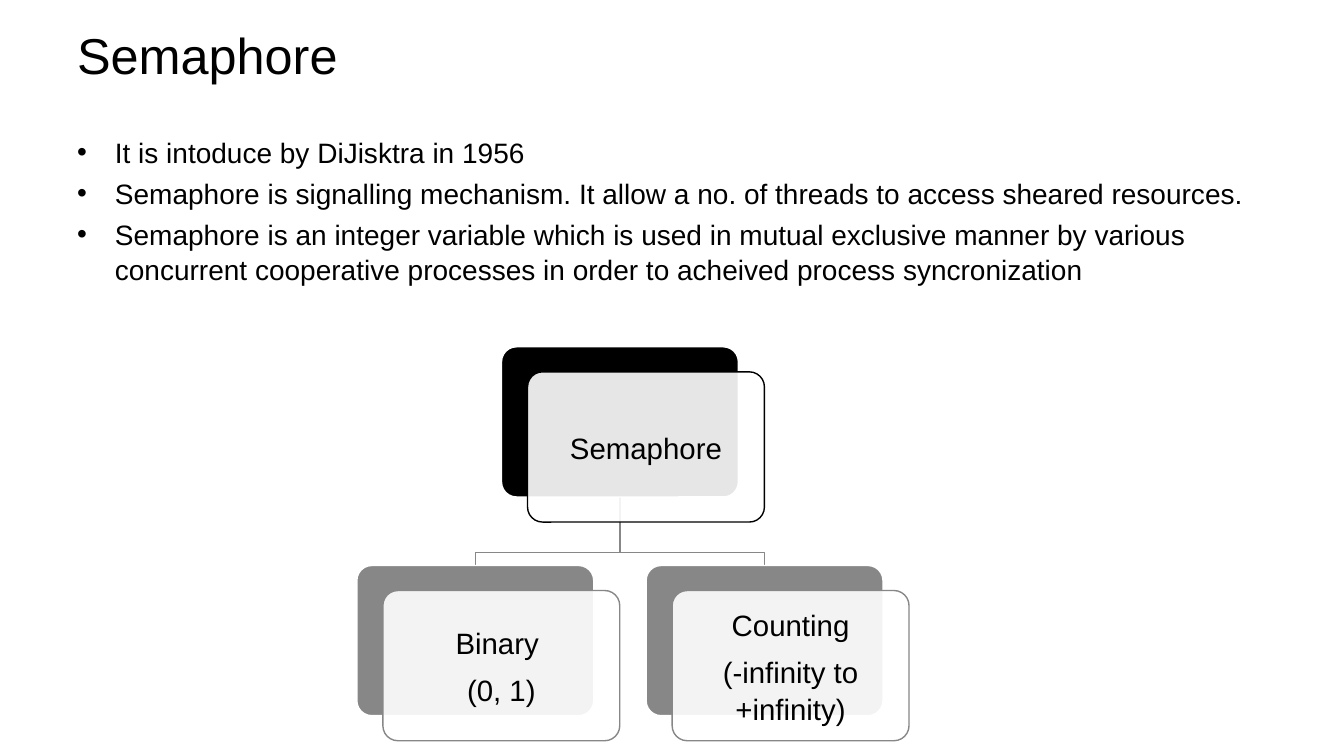
from dataclasses import dataclass

from lxml import etree
from pptx import Presentation
from pptx.dml.color import RGBColor
from pptx.enum.shapes import MSO_SHAPE
from pptx.enum.text import MSO_ANCHOR, PP_ALIGN
from pptx.oxml.ns import qn
from pptx.util import Pt

ROUNDED = MSO_SHAPE.ROUNDED_RECTANGLE
MIDDLE = MSO_ANCHOR.MIDDLE
TOP = MSO_ANCHOR.TOP
LEFT = PP_ALIGN.LEFT
CENTER = PP_ALIGN.CENTER


@dataclass(frozen=True)
class Theme:
    font: str = "Arial"
    black: RGBColor = RGBColor(0x00, 0x00, 0x00)
    white: RGBColor = RGBColor(0xFF, 0xFF, 0xFF)
    gray: RGBColor = RGBColor(0x87, 0x87, 0x87)
    title_size: int = 36
    body_size: int = 20
    card_size: int = 21
    line_spacing: float = 1.05


THEME = Theme()

BULLETS = [
    "It is intoduce by DiJisktra in 1956",
    "Semaphore is signalling mechanism. It allow a no. of threads to access sheared resources.",
    "Semaphore is an integer variable which is used in mutual exclusive manner by various "
    "concurrent cooperative processes in order to acheived process syncronization",
]
ROOT = ["Semaphore"]
KINDS = [["Binary ", "(0, 1)"], ["Counting", "(-infinity to +infinity)"]]

CARD_WIDTH, CARD_HEIGHT = 169.2, 107.3
CARD_SHIFT_X, CARD_SHIFT_Y = 18.6, 17.9
LEVEL_STEP = 156.2
BUS_RISE = 9.3


def write_lines(text_frame, lines, size, alignment, anchor):
    text_frame.word_wrap = True
    text_frame.vertical_anchor = anchor
    for index, line in enumerate(lines):
        paragraph = text_frame.paragraphs[0] if index == 0 else text_frame.add_paragraph()
        paragraph.text = line
        paragraph.alignment = alignment
        paragraph.line_spacing = THEME.line_spacing
        paragraph.font.name = THEME.font
        paragraph.font.size = Pt(size)
        paragraph.font.color.rgb = THEME.black
    return text_frame.paragraphs


def add_title(slide, left, top, width, height):
    box = slide.shapes.add_textbox(Pt(left), Pt(top), Pt(width), Pt(height))
    write_lines(box.text_frame, ["Semaphore"], THEME.title_size, LEFT, MIDDLE)


def add_bullets(slide, left, top, width, height):
    box = slide.shapes.add_textbox(Pt(left), Pt(top), Pt(width), Pt(height))
    paragraphs = write_lines(box.text_frame, BULLETS, THEME.body_size, LEFT, TOP)
    for index, paragraph in enumerate(paragraphs):
        paragraph.space_before = Pt(4 if index else 0)
        properties = paragraph._p.get_or_add_pPr()
        properties.set("marL", str(Pt(27)))
        properties.set("indent", str(-Pt(27)))
        etree.SubElement(properties, qn("a:buFont")).set("typeface", THEME.font)
        bullet = etree.SubElement(properties, qn("a:buChar"))
        bullet.set("char", "•")
        properties.find(qn("a:defRPr")).addprevious(properties.find(qn("a:buFont")))
        properties.find(qn("a:defRPr")).addprevious(bullet)


def add_panel(slide, left, top, fill, line):
    panel = slide.shapes.add_shape(
        ROUNDED, Pt(left), Pt(top), Pt(CARD_WIDTH), Pt(CARD_HEIGHT)
    )
    panel.adjustments[0] = 0.1
    panel.shadow.inherit = False
    panel.fill.solid()
    panel.fill.fore_color.rgb = fill
    panel.line.color.rgb = line
    panel.line.width = Pt(1)
    return panel


def add_card(slide, left, top, lines, color):
    add_panel(slide, left, top, color, THEME.white)
    front = add_panel(slide, left + CARD_SHIFT_X, top + CARD_SHIFT_Y, THEME.white, color)
    fill_color = front._element.spPr.find(qn("a:solidFill"))[0]
    etree.SubElement(fill_color, qn("a:alpha")).set("val", "90000")
    frame = front.text_frame
    frame.margin_left = frame.margin_right = Pt(6.3)
    frame.margin_top = frame.margin_bottom = Pt(6.3)
    for paragraph in write_lines(frame, lines, THEME.card_size, CENTER, MIDDLE):
        paragraph.space_after = Pt(7.35)


def add_branch(slide, start_x, start_y, end_x, end_y):
    bus_y = end_y - BUS_RISE
    builder = slide.shapes.build_freeform(Pt(start_x), Pt(start_y))
    corners = [(start_x, bus_y), (end_x, bus_y), (end_x, end_y)]
    builder.add_line_segments([(Pt(x), Pt(y)) for x, y in corners], close=False)
    branch = builder.convert_to_shape()
    branch.shadow.inherit = False
    branch.fill.background()
    branch.line.color.rgb = THEME.gray
    branch.line.width = Pt(1)


def add_tree(slide, left, top, width):
    step = width - CARD_WIDTH - CARD_SHIFT_X
    root_left = left + step / 2
    child_top = top + LEVEL_STEP
    child_lefts = [left + index * step for index in range(len(KINDS))]
    half = CARD_WIDTH / 2
    for child_left in child_lefts:
        add_branch(slide, root_left + half, top + CARD_HEIGHT, child_left + half, child_top)
    add_card(slide, root_left, top, ROOT, THEME.black)
    for child_left, lines in zip(child_lefts, KINDS):
        add_card(slide, child_left, child_top, lines, THEME.gray)


def main():
    presentation = Presentation()
    presentation.slide_width = Pt(960)
    presentation.slide_height = Pt(540)
    slide = presentation.slides.add_slide(presentation.slide_layouts[6])
    add_title(slide, 48, 15, 864, 46)
    add_bullets(slide, 48, 92, 864, 120)
    add_tree(slide, 254.9, 247.7, 394.4)
    presentation.save("out.pptx")


if __name__ == "__main__":
    main()
